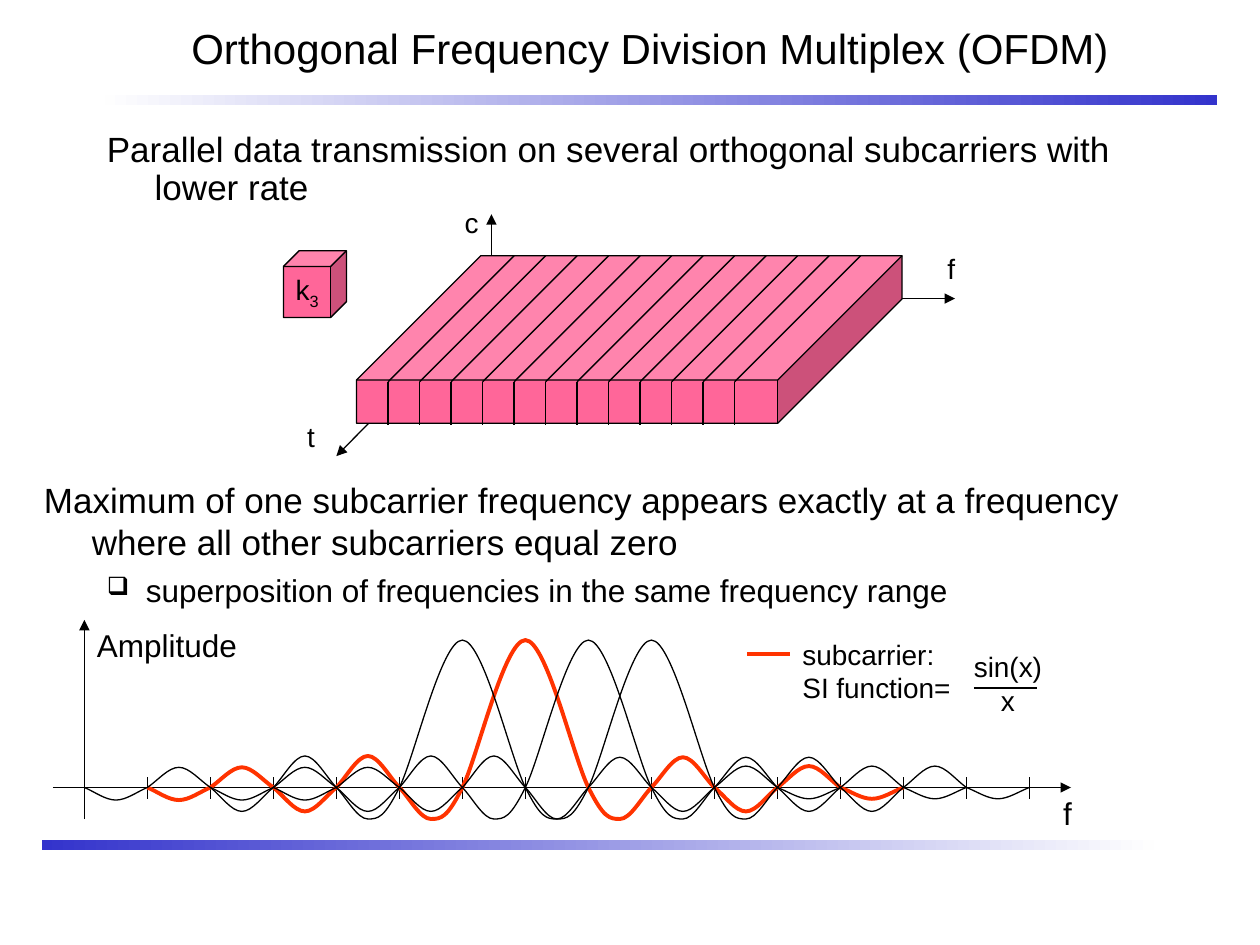
from lxml import etree
from pptx import Presentation
from pptx import util as u
from pptx.dml.color import RGBColor
from pptx.enum import shapes as kinds, text as t
from pptx.oxml.ns import qn

Inches, Pt, rgb = u.Inches, u.Pt, RGBColor.from_string
BLACK, RED, PINK = "000000", "FF3300", "FF6699"

deck = Presentation()
deck.slide_width, deck.slide_height = Inches(10), Inches(7.5)
slide = deck.slides.add_slide(deck.slide_layouts[6])
shapes = slide.shapes


def line(x1, y1, x2, y2, color=BLACK, width=0.75, arrow=False):
    """Straight line, with an arrowhead at its end if wanted."""
    connector = shapes.add_connector(kinds.MSO_CONNECTOR.STRAIGHT,
                                     Inches(x1), Inches(y1), Inches(x2), Inches(y2))
    connector.line.color.rgb = rgb(color)
    connector.line.width = Pt(width)
    if arrow:
        etree.SubElement(connector.line._get_or_add_ln(), qn("a:tailEnd"), type="triangle")
    etree.SubElement(connector._element.spPr, qn("a:effectLst"))


def write(place, text, size=16, align=t.PP_ALIGN.LEFT, wrap=True, left=0, hang=0,
          before=0, spacing=None, bullet=None, middle=False, baseline=None):
    """Write into a new box (place is a tuple), a new paragraph or the end of one."""
    if isinstance(place, tuple):
        frame = shapes.add_textbox(*map(Inches, place)).text_frame
        frame.word_wrap = wrap
        if middle:
            frame.vertical_anchor = t.MSO_ANCHOR.MIDDLE
        paragraph = frame.paragraphs[0]
    else:
        frame, paragraph = None, place
    if baseline is None:
        paragraph.alignment = align
        paragraph.space_before = Pt(before)
        if spacing:
            paragraph.line_spacing = spacing
        properties = paragraph._p.get_or_add_pPr()
        properties.set("marL", str(Inches(left)))
        properties.set("indent", str(Inches(-hang)))
        if bullet:
            etree.SubElement(properties, qn("a:buSzPct"), val="80000")
            etree.SubElement(properties, qn("a:buChar"), char=bullet)
    run = paragraph.add_run()
    run.text = text
    run.font.name, run.font.size = "Arial", Pt(size)
    run.font.color.rgb = rgb(BLACK)
    if baseline is not None:
        run.font._element.set("baseline", str(baseline))
    return frame


# Gradient bars above and below the content
for x, y, start, end in ((0.83, 0.75, "FEFEFE", "3333CC"), (0.33, 6.67, "3333CC", "FEFEFE")):
    bar = shapes.add_shape(kinds.MSO_SHAPE.RECTANGLE,
                           Inches(x), Inches(y), Inches(8.83), Inches(0.08))
    bar.shadow.inherit = False
    bar.line.fill.background()
    bar.fill.gradient()
    bar.fill.gradient_angle = 0
    for stop, color in zip(bar.fill.gradient_stops, (start, end)):
        stop.color.rgb = rgb(color)

# Title and statements
write((1.42, 0, 8.42, 0.75), "Orthogonal Frequency Division Multiplex (OFDM)", size=24, middle=True)
write((0.75, 1, 8.5, 1.28),
      "Parallel data transmission on several orthogonal subcarriers with lower rate",
      size=20, left=0.38, hang=0.38, spacing=0.9)
maximum = write((0.25, 3.75, 9.42, 1.33),
                "Maximum of one subcarrier frequency appears exactly at a frequency "
                "where all other subcarriers equal zero", size=20, left=0.38, hang=0.38)
write(maximum.add_paragraph(), "superposition of frequencies in the same frequency range",
      size=18, left=0.81, hang=0.31, before=4.5, bullet="❑")

# Axes of the code, frequency and time space
line(3.9, 2.37, 2.67, 3.62, arrow=True)
line(3.9, 2.37, 3.9, 1.7, arrow=True)
line(3.9, 2.37, 7.58, 2.37, arrow=True)

# Block of subcarriers and the single channel k3
cubes = []
for x, y, width, height, depth in ((2.83, 2.03, 4.33, 1.33, 0.742), (2.25, 1.99, 0.5, 0.53, 0.25)):
    cube = shapes.add_shape(kinds.MSO_SHAPE.CUBE,
                            Inches(x), Inches(y), Inches(width), Inches(height))
    cube.adjustments[0] = depth
    cube.shadow.inherit = False
    cube.fill.solid()
    cube.fill.fore_color.rgb = rgb(PINK)
    cube.line.color.rgb = rgb(BLACK)
    cube.line.width = Pt(0.75)
    cubes.append(cube)
channel = cubes[1].text_frame
channel.word_wrap = False
channel.vertical_anchor = t.MSO_ANCHOR.MIDDLE
write(channel.paragraphs[0], "k", align=t.PP_ALIGN.CENTER)
write(channel.paragraphs[0], "3", baseline=-25000)

for label, x, y in (("f", 7.42, 1.95), ("t", 2.34, 3.28), ("c", 3.59, 1.58)):
    write((x, y, 0.3, 0.37), label, wrap=False)

# Slices of the block: front edge and top edge
for i in range(12):
    x = 3.08 + 0.25 * i
    line(x, 3.03, x, 3.37)
    line(x, 3.03, x + 1, 2.03)

# Axes of the spectrum
AXIS = 6.25
line(0.67, 6.5, 0.67, 4.92, arrow=True)
write((0.67, 4.92, 1.67, 0.4), "Amplitude", size=18)
write((8.34, 6.25, 0.27, 0.4), "f", size=18, wrap=False)
line(0.42, AXIS, 8.5, AXIS, arrow=True)
for i in range(15):
    if i != 7:
        line(1.17 + 0.5 * i, 6.17, 1.17 + 0.5 * i, 6.34, width=0.5)

# Subcarriers: lobes between zero crossings, the main one twice as wide
LOBES = (-0.1, 0.16, -0.19, 0.25, -0.25, 1.17, -0.25, 0.24, -0.19, 0.17, -0.09)
MAIN = 5
for start, color, width in ((1.17, RED, 2.25), (0.67, BLACK, 0.75),
                            (1.67, BLACK, 0.75), (2.17, BLACK, 0.75)):
    x, points = start, []
    for i, height in enumerate(LOBES):
        span = 1 if i == MAIN else 0.5
        # Bezier handles at both crossings, steeper next to the main lobe
        (in_x, in_y), (out_x, out_y) = [
            (0.12, 0.24 if height > 0 else -0.24) if crossing in (MAIN, MAIN + 1)
            else (0.08, height / 3) for crossing in (i, i + 1)]
        peak, top = x + span / 2, AXIS - height
        points += [(x + in_x, AXIS - in_y), (peak - span / 6, top), (peak, top),
                   (peak + span / 6, top), (x + span - out_x, AXIS - out_y), (x + span, AXIS)]
        x += span
    outline = shapes.build_freeform(Inches(start), Inches(AXIS))
    outline.add_line_segments([(Inches(px), Inches(py)) for px, py in points], close=False)
    carrier = outline.convert_to_shape()
    carrier.shadow.inherit = False
    carrier.fill.background()
    carrier.line.color.rgb = rgb(color)
    carrier.line.width = Pt(width)
    # Every three points make one cubic curve
    segments = list(carrier._element.iter(qn("a:lnTo")))
    track = segments[0].getparent()
    for i in range(0, len(segments), 3):
        curve = etree.SubElement(track, qn("a:cubicBezTo"))
        for segment in segments[i:i + 3]:
            curve.append(segment[0])
            track.remove(segment)

# Legend with the SI function
line(5.93, 5.19, 6.27, 5.19, RED, 2.25)
legend = write((6.27, 5.01, 2.75, 0.64), "subcarrier:")
write(legend.add_paragraph(), "SI function=")
fraction = write((7.63, 5.11, 0.74, 0.64), "sin(x)", align=t.PP_ALIGN.CENTER, wrap=False)
write(fraction.add_paragraph(), "x", align=t.PP_ALIGN.CENTER)
line(7.73, 5.46, 8.23, 5.46)

deck.save("out.pptx")
